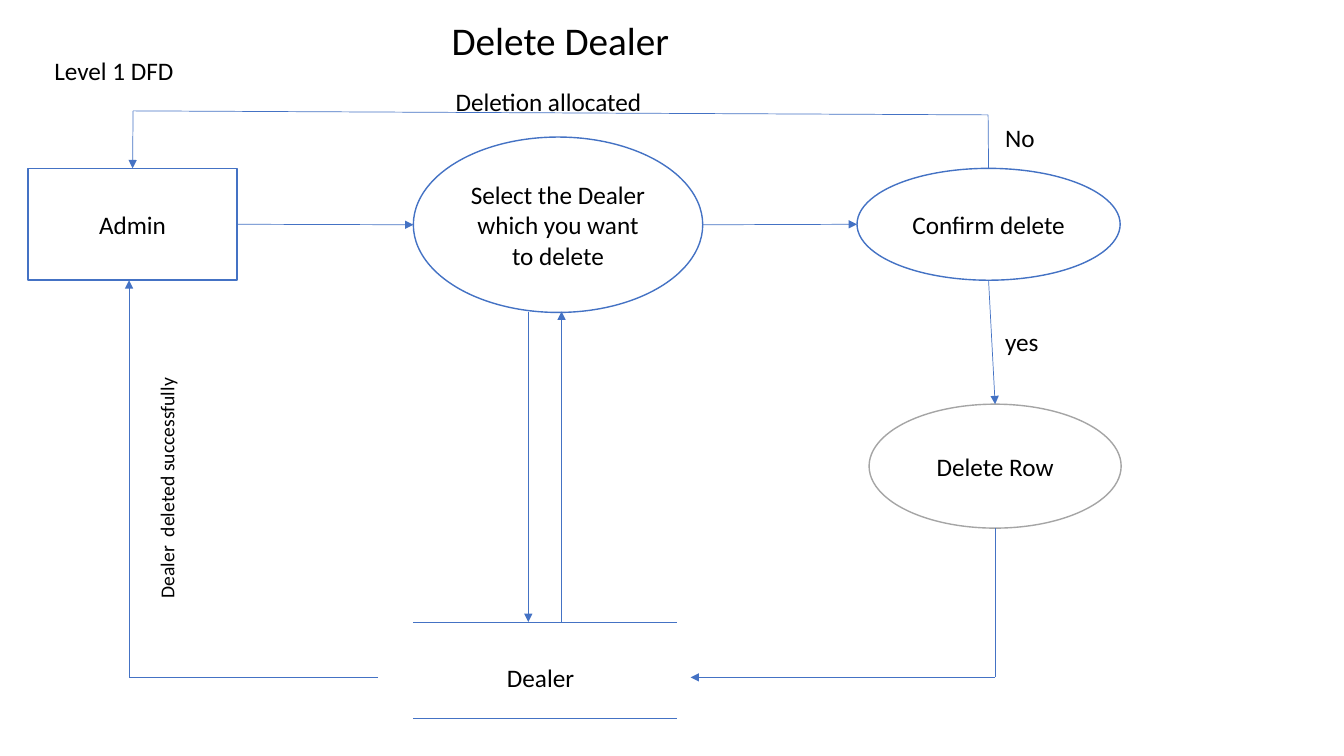
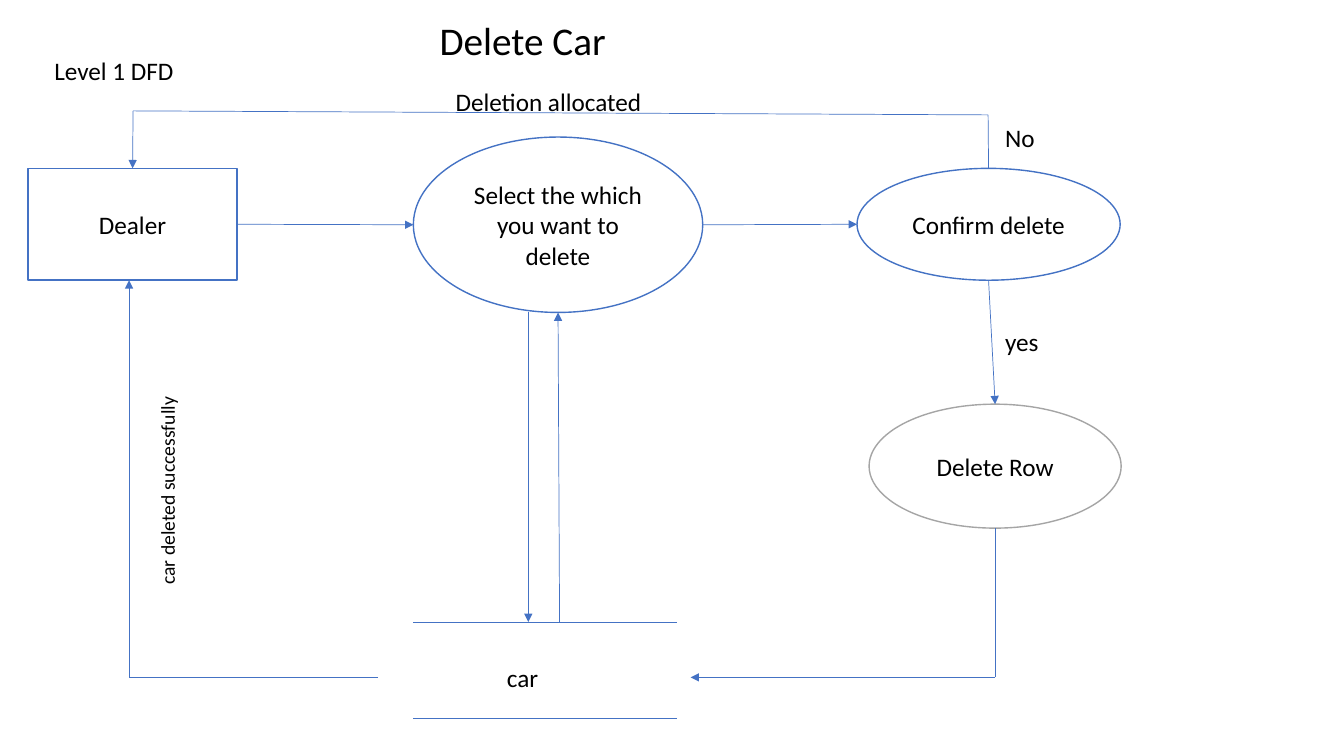
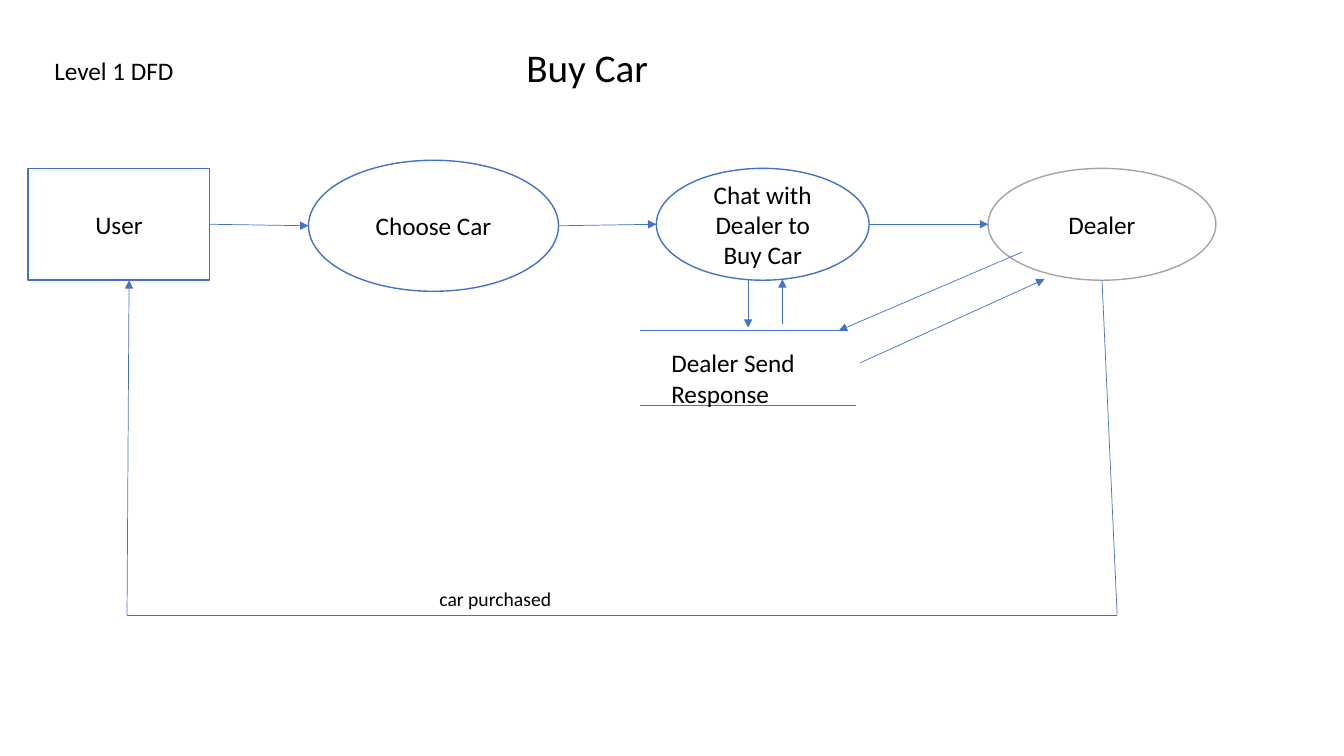
import pptx
import pptx.util
from lxml import etree
from pptx.dml.color import RGBColor
from pptx.enum.shapes import MSO_CONNECTOR, MSO_SHAPE
from pptx.enum.text import MSO_ANCHOR, MSO_AUTO_SIZE, PP_ALIGN
from pptx.oxml.ns import qn

Inches, Pt = pptx.util.Inches, pptx.util.Pt

BLUE = RGBColor(0x44, 0x72, 0xC4)
GREY = RGBColor(0xA5, 0xA5, 0xA5)
WHITE = RGBColor(0xFF, 0xFF, 0xFF)
BLACK = RGBColor(0, 0, 0)
FONT = "Calibri"
TITLE_SIZE, BODY_SIZE, NOTE_SIZE = 28, 18, 14
RECT, OVAL = MSO_SHAPE.RECTANGLE, MSO_SHAPE.OVAL
SIDES = {  # connection index, share of width, share of height
    "top": (0, 0.5, 0), "left": (1, 0, 0.5),
    "bottom": (2, 0.5, 1), "right": (3, 1, 0.5),
}
LEVEL = ("Level 1 DFD", (0.44, 0.5, 1.5, 0.4), BODY_SIZE, 0)


def delete_flow(title, title_box, actor, step, store, note, note_box, lookup):
    """Describe the deletion diagram for one kind of record."""
    return {
        "title": (title, title_box),
        "nodes": {
            "actor": (RECT, actor, (0.28, 1.67, 2.07, 1.11), BLUE),
            "select": (OVAL, step, (4.1, 1.36, 2.87, 1.74), BLUE),
            "confirm": (OVAL, "Confirm delete", (8.5, 1.67, 2.61, 1.11), BLUE),
            "delete": (OVAL, "Delete Row", (8.62, 4.01, 2.5, 1.23), GREY),
        },
        "labels": [
            (store, (4.93, 6.52, 1.19, 0.4), BODY_SIZE, 0),
            (note, note_box, NOTE_SIZE, 270),
            ("yes", (9.87, 3.19, 0.61, 0.4), BODY_SIZE, 0),
            ("No", (9.87, 1.16, 0.63, 0.4), BODY_SIZE, 0),
            ("Deletion allocated", (4.42, 0.81, 2.21, 0.4), BODY_SIZE, 0),
        ],
        "arrows": [
            [("actor", "right"), ("select", "left")],
            [("select", "right"), ("confirm", "left")],
            [("confirm", "bottom"), ("delete", "top")],
            [("delete", "bottom"), (9.87, 6.72), (6.85, 6.72)],
            [(3.75, 6.72), (1.28, 6.72), (1.28, 2.78)],
            [("confirm", "top"), (9.8, 1.14), (1.32, 1.1), ("actor", "top")],
            [(5.24, 3.1), (5.24, 6.17)],
            lookup,
        ],
        "store_lines": [[(4.1, y), (6.71, y)] for y in (6.17, 7.13)],
    }


SLIDES = [
    delete_flow("Delete Dealer", (4.38, 0.11, 4.55, 0.57), "Admin",
                "Select the Dealer which you want to delete", "Dealer",
                "Dealer  deleted successfully", (0.39, 4.6, 2.53, 0.34),
                [(5.57, 6.17), (5.57, 3.09)]),
    delete_flow("Delete Car", (4.26, 0.11, 2.8, 0.57), "Dealer",
                "Select the which you want to delete", "car",
                "car deleted successfully", (0.26, 4.33, 2.8, 0.34),
                [(5.55, 6.17), ("select", "bottom")]),
    {
        "title": ("Buy Car", (5.12, 0.38, 2.25, 0.57)),
        "nodes": {
            "user": (RECT, "User", (0.28, 1.67, 1.8, 1.11), BLUE),
            "choose": (OVAL, "Choose Car", (3.06, 1.59, 2.48, 1.3), BLUE),
            "chat": (OVAL, "Chat with Dealer to Buy Car", (6.51, 1.67, 2.11, 1.11), BLUE),
            "dealer": (OVAL, "Dealer", (9.8, 1.67, 2.26, 1.11), GREY),
        },
        "labels": [
            ("Dealer Send Response", (6.56, 3.4, 1.63, 0.71), BODY_SIZE, 0),
            ("car purchased", (4.26, 5.77, 2.63, 0.34), NOTE_SIZE, 0),
        ],
        "arrows": [
            [("user", "right"), ("choose", "left")],
            [("choose", "right"), ("chat", "left")],
            [("chat", "right"), ("dealer", "left")],
            [("dealer", "bottom"), (11.08, 6.1), (1.26, 6.1), (1.28, 2.78)],
            [(7.76, 3.21), (7.76, 2.77)],
            [(7.42, 2.77), (7.42, 3.25)],
            [(8.53, 3.6), (10.36, 2.77)],
            [(10.14, 2.5), (8.32, 3.28)],
        ],
        "store_lines": [[(6.35, 3.28), (8.39, 3.28)], [(6.35, 4.02), (8.49, 4.02)]],
    },
]


def write(sp, text, size, align=PP_ALIGN.LEFT, anchor=MSO_ANCHOR.TOP):
    tf = sp.text_frame
    tf.text = text
    tf.word_wrap = True
    tf.auto_size = MSO_AUTO_SIZE.NONE
    tf.vertical_anchor = anchor
    p = tf.paragraphs[0]
    p.alignment = align
    font = p.runs[0].font
    font.name, font.size, font.color.rgb = FONT, Pt(size), BLACK


def add_title(s, text, box):
    sp = s.shapes.title
    sp.left, sp.top, sp.width, sp.height = map(Inches, box)
    write(sp, text, TITLE_SIZE)


def add_node(s, kind, text, box, colour):
    sp = s.shapes.add_shape(kind, *map(Inches, box))
    sp.shadow.inherit = False
    sp.fill.solid()
    sp.fill.fore_color.rgb = WHITE
    sp.line.color.rgb = colour
    sp.line.width = Pt(1)
    write(sp, text, BODY_SIZE, PP_ALIGN.CENTER, MSO_ANCHOR.MIDDLE)
    return sp


def add_label(s, text, box, size, rotation):
    sp = s.shapes.add_textbox(*map(Inches, box))
    sp.rotation = rotation
    write(sp, text, size)


def locate(point, nodes):
    """Turn a (node, side) pair or an (x, y) pair in inches into a position."""
    if point[0] not in nodes:
        return Inches(point[0]), Inches(point[1])
    sp = nodes[point[0]]
    _, across, down = SIDES[point[1]]
    return int(sp.left + across * sp.width), int(sp.top + down * sp.height)


def join(connect, point, nodes):
    """Glue an end to a rectangle's side, or to the top of an oval."""
    sp = nodes.get(point[0])
    if sp and (sp.auto_shape_type == RECT or point[1] == "top"):
        connect(sp, SIDES[point[1]][0])


def add_route(s, points, nodes, arrow):
    """Draw a line through the points, with an arrowhead at the last if asked."""
    for start, end in zip(points, points[1:]):
        line = s.shapes.add_connector(
            MSO_CONNECTOR.STRAIGHT, *locate(start, nodes), *locate(end, nodes))
        line.line.color.rgb = BLUE
        line.line.width = Pt(0.5)
        props = line._element.spPr
        etree.SubElement(props, qn("a:effectLst"))
        join(line.begin_connect, start, nodes)
        join(line.end_connect, end, nodes)
    if arrow:
        etree.SubElement(props.find(qn("a:ln")), qn("a:tailEnd"), type="triangle")


def main():
    prs = pptx.Presentation()
    prs.slide_width, prs.slide_height = Inches(13.33), Inches(7.5)
    for content in SLIDES:
        s = prs.slides.add_slide(prs.slide_layouts[5])
        add_title(s, *content["title"])
        nodes = {name: add_node(s, *node) for name, node in content["nodes"].items()}
        for points in content["arrows"]:
            add_route(s, points, nodes, True)
        for points in content["store_lines"]:
            add_route(s, points, nodes, False)
        for label in [LEVEL, *content["labels"]]:
            add_label(s, *label)
    prs.save("out.pptx")


if __name__ == "__main__":
    main()
